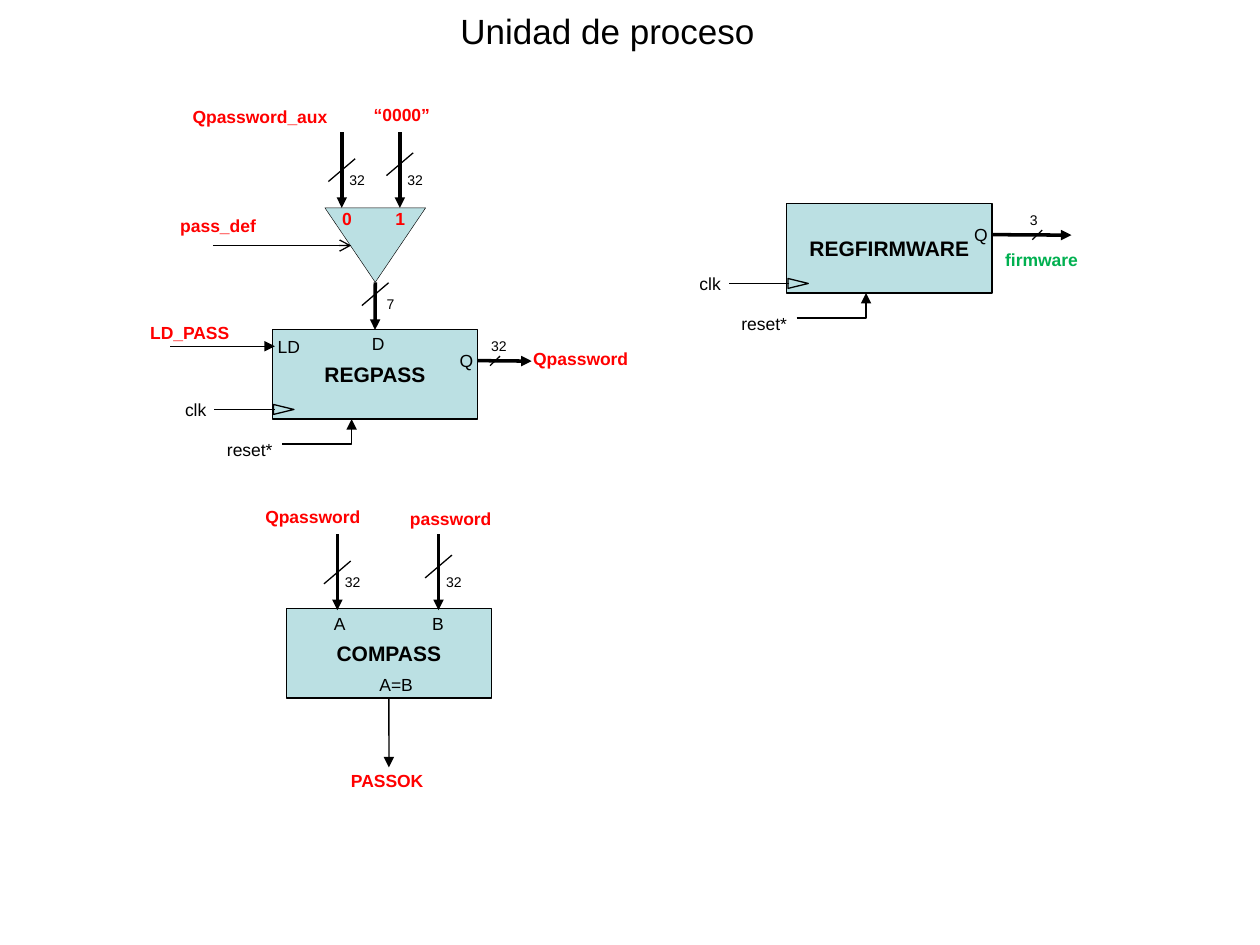
from lxml.etree import SubElement
from pptx import Presentation
from pptx.dml.color import RGBColor
from pptx.enum.shapes import MSO_CONNECTOR, MSO_SHAPE
from pptx.enum.text import MSO_ANCHOR, PP_ALIGN
from pptx.oxml.ns import qn
from pptx.util import Cm, Pt

COLORS = {"ink": "000000", "block": "BBE0E3", "signal": "FF0000", "output": "00B050"}
BLOCK_W, BLOCK_H = 4.14, 1.8
MUX_W, MUX_H = 2.03, 1.5
PORT_PAD = (0.1, 0.13, 0.1, 0.13)
BLOCK_PAD = (0.25, 0.13, 0.25, 0.13)


def rgb(name):
    """Return a palette colour."""
    return RGBColor.from_string(COLORS[name])


def write(sp, text, size, color="ink", bold=False, align=PP_ALIGN.CENTER,
          pad=(0, 0, 0, 0), wrap=False, anchor=MSO_ANCHOR.MIDDLE, tab=None):
    """Fill a shape's text frame with one paragraph."""
    tf = sp.text_frame
    tf.word_wrap = wrap
    tf.vertical_anchor = anchor
    tf.margin_left, tf.margin_top, tf.margin_right, tf.margin_bottom = map(Cm, pad)
    p = tf.paragraphs[0]
    p.text = text
    p.alignment = align
    if tab:
        tabs = SubElement(p._p.get_or_add_pPr(), qn("a:tabLst"))
        SubElement(tabs, qn("a:tab"), pos=str(Cm(tab)), algn="l")
    p.font.name = "Arial"
    p.font.size = Pt(size)
    p.font.bold = bold
    p.font.color.rgb = rgb(color)


def add_text(s, x, y, w, h, text, size=10, **style):
    """Add a text box."""
    write(s.shapes.add_textbox(Cm(x), Cm(y), Cm(w), Cm(h)), text, size, **style)


def signal(s, x, y, w, text, color="signal", **style):
    """Add a bold coloured signal name."""
    add_text(s, x, y, w, 0.45, text, color=color, bold=True, pad=(0, 0, 0.1, 0), **style)


def port(s, x, y, text, w=0.69, h=0.61, align=PP_ALIGN.LEFT):
    """Add a port name inside a block."""
    add_text(s, x, y, w, h, text, align=align, pad=PORT_PAD)


def bit_count(s, x, y, bits):
    """Add the width of a bus in bits."""
    add_text(s, x, y, 0.36, 0.35, bits, size=8, wrap=True)


def add_line(s, x1, y1, x2, y2, width=0.75, head=None, bent=False):
    """Add a straight or single-bend line, with an optional arrowhead."""
    kind = MSO_CONNECTOR.ELBOW if bent else MSO_CONNECTOR.STRAIGHT
    cn = s.shapes.add_connector(kind, Cm(x1), Cm(y1), Cm(x2), Cm(y2))
    cn.line.width = Pt(width)
    cn.line.color.rgb = rgb("ink")
    sp_pr = cn.element.spPr
    if bent:
        sp_pr.find(qn("a:prstGeom")).set("prst", "bentConnector2")
    if head:
        SubElement(sp_pr.find(qn("a:ln")), qn("a:tailEnd"), type=head)
    SubElement(sp_pr, qn("a:effectLst"))
    return cn


def add_block(s, kind, x, y, w, h, rotation=0, width=0.75):
    """Add a filled and outlined shape."""
    sp = s.shapes.add_shape(kind, Cm(x), Cm(y), Cm(w), Cm(h))
    sp.shadow.inherit = False
    sp.rotation = rotation
    sp.fill.solid()
    sp.fill.fore_color.rgb = rgb("block")
    sp.line.color.rgb = rgb("ink")
    sp.line.width = Pt(width)
    return sp


def named_block(s, x, y, name):
    """Add a rectangular block with its name."""
    sp = add_block(s, MSO_SHAPE.RECTANGLE, x, y, BLOCK_W, BLOCK_H)
    write(sp, name, 12, bold=True, pad=BLOCK_PAD)
    return sp


def bus(s, x, y, length, bits, slash_y, bits_y):
    """Add a downward bus with its slash and bit count."""
    cn = add_line(s, x, y, x, y + length, 2, "triangle")
    add_line(s, x - 0.27, y + slash_y + 0.23, x + 0.27, y + slash_y - 0.23)
    bit_count(s, x + 0.13, y + bits_y, bits)
    return cn


def register(s, x, y, name, out_length, slash_x, bits, bits_x):
    """Add a register with clock, reset and output Q."""
    sp = named_block(s, x, y, name)
    add_block(s, MSO_SHAPE.ISOSCELES_TRIANGLE, x + 0.13, y + 1.4, 0.2, 0.41, 90)
    add_line(s, x + 0.05, y + 1.6, x - 1.17, y + 1.6)
    add_line(s, x + 0.2, y + 2.3, x + 1.6, y + BLOCK_H, head="triangle", bent=True)
    port(s, x + 2.8, y + 0.23, "Q", 1.35, 0.79, PP_ALIGN.RIGHT)
    add_line(s, x + BLOCK_W, y + 0.62, x + BLOCK_W + out_length, y + 0.63, 2, "triangle")
    add_line(s, x + slash_x, y + 0.72, x + slash_x + 0.2, y + 0.53)
    add_text(s, x - 1.77, y + 1.4, 0.45, 0.43, "clk")
    add_text(s, x - 0.97, y + 2.2, 1.03, 0.43, "reset*")
    bit_count(s, x + bits_x, y + 0.15, bits)
    return sp


def password_register(s, x, y):
    """Add the password register with its load and data ports."""
    sp = register(s, x, y, "REGPASS", 1.09, 4.39, "32", 4.39)
    port(s, x + 0.01, y + 0.03, "LD")
    add_line(s, x - 2.06, y + 0.33, x + 0.05, y + 0.33, head="triangle")
    signal(s, x - 2.48, y - 0.17, 1.73, "LD_PASS")
    signal(s, x + 5.21, y + 0.36, 2.11, "Qpassword")
    port(s, x + 1.01, y - 0.12, "D", 1.35, 0.79, PP_ALIGN.RIGHT)
    return sp


def firmware_register(s, x, y):
    """Add the firmware register with its output name."""
    register(s, x, y, "REGFIRMWARE", 1.6, 4.95, "3", 4.8)
    signal(s, x + 4.4, y + 0.9, 1.57, "firmware", "output")


def multiplexer(s, x, y, target):
    """Add the multiplexer that feeds the target block."""
    add_block(s, MSO_SHAPE.ISOSCELES_TRIANGLE, x, y, MUX_W, MUX_H, 180, 0.25)
    add_line(s, x - 2.26, y + 0.76, x + 0.53, y + 0.76, head="arrow")
    signal(s, x - 2.92, y + 0.14, 1.63, "pass_def")
    signal(s, x + 0.35, y, 1.5, "0\t1", align=PP_ALIGN.LEFT, wrap=True, tab=1.07)
    signal(s, x - 2.67, y - 2.06, 2.82, "Qpassword_aux")
    signal(s, x + 0.98, y - 2.1, 1.24, "“0000”")
    for dx, slash_y in ((0.34, 0.76), (1.51, 0.64)):
        bus(s, x + dx, y - 1.52, 1.52, "32", slash_y, 0.78)
    out = bus(s, x + MUX_W / 2, y + MUX_H, 0.97, "7", 0.24, 0.26)
    out.end_connect(target, 0)


def comparator(s, x, y):
    """Add the password comparator with its inputs and result."""
    sp = named_block(s, x, y, "COMPASS")
    for dx, slash_y in ((1.03, 0.77), (3.07, 0.65)):
        bus(s, x + dx, y - 1.5, 1.53, "32", slash_y, 0.78)
    for dx, dy, text, w in ((0.86, 0, "A", 0.69), (2.84, 0, "B", 0.69),
                            (1.78, 1.22, "A=B", 1)):
        port(s, x + dx, y + dy, text, w)
    signal(s, x - 0.47, y - 2.08, 2.11, "Qpassword")
    signal(s, x + 2.49, y - 2.04, 1.75, "password")
    mid = x + BLOCK_W / 2
    out = add_line(s, mid, y + BLOCK_H, mid, y + 3.2, head="triangle")
    out.begin_connect(sp, 2)
    signal(s, x + 1.3, y + 3.23, 1.57, "PASSOK")


def main():
    """Build the process unit slide."""
    prs = Presentation()
    prs.slide_width, prs.slide_height = Cm(25.4), Cm(19.05)
    s = prs.slides.add_slide(prs.slide_layouts[6])
    add_text(s, 0.82, 0.06, 22.86, 1.37, "Unidad de proceso", size=20,
             pad=BLOCK_PAD, wrap=True, anchor=MSO_ANCHOR.TOP)
    regpass = password_register(s, 5.49, 6.65)
    multiplexer(s, 6.55, 4.19, regpass)
    firmware_register(s, 15.86, 4.11)
    comparator(s, 5.77, 12.27)
    prs.save("out.pptx")


if __name__ == "__main__":
    main()
